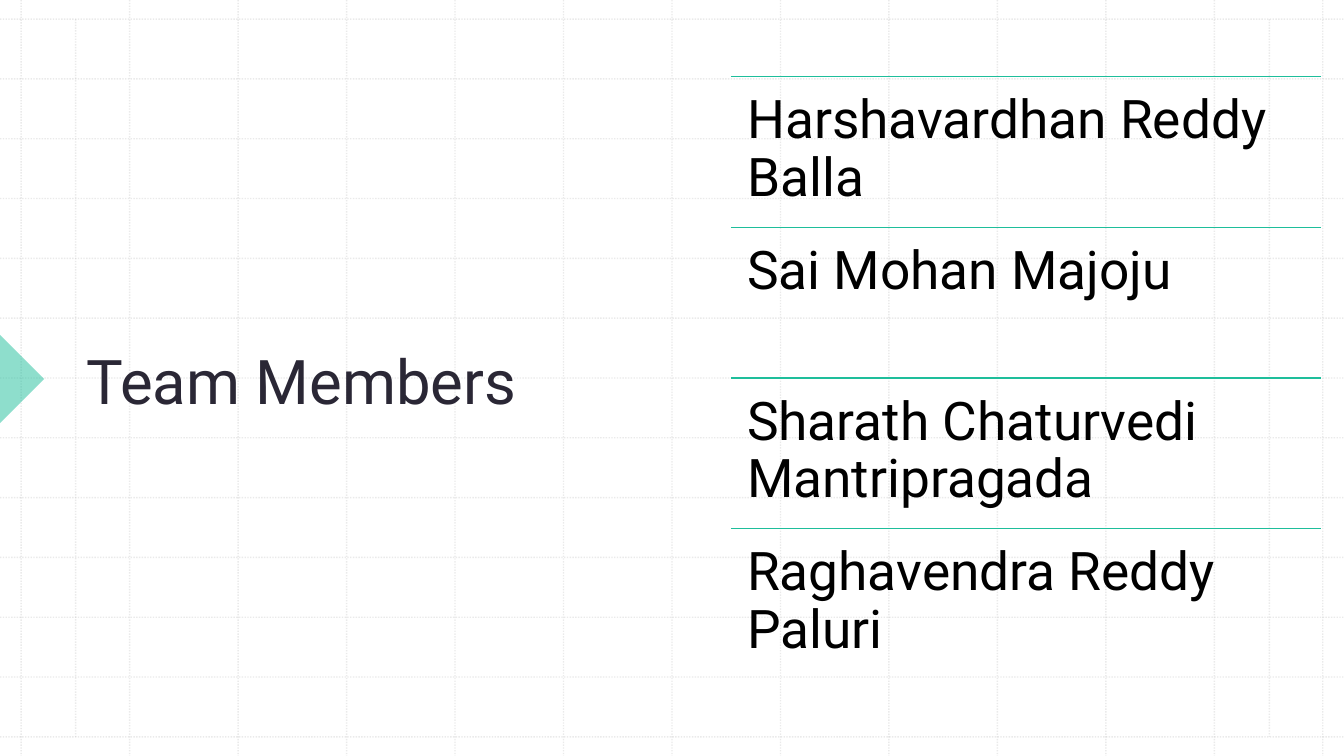
from lxml import etree
from pptx import Presentation
from pptx import util as u
from pptx.dml.color import RGBColor
from pptx.enum import dml, shapes, text
from pptx.oxml.ns import qn

TITLE = "Team Members"
MEMBERS = [
    "Harshavardhan Reddy Balla",
    "Sai Mohan Majoju",
    "Sharath Chaturvedi Mantripragada",
    "Raghavendra Reddy Paluri",
]

FONT = "Roboto"
GRID = RGBColor(0xBC, 0xBC, 0xBC)
GREEN = RGBColor(0x1E, 0xBE, 0x9B)
DARK = RGBColor(0x2A, 0x27, 0x35)
BLACK = RGBColor(0, 0, 0)
WHITE = RGBColor(0xFF, 0xFF, 0xFF)

WIDTH, HEIGHT = 13.33, 7.5
GRID_LEFT, GRID_RIGHT = 0.21, 13.12
GRID_TOP, GRID_BOTTOM = 0.19, 7.31
GRID_STEPS = 12
INNER_COLUMNS = (0.75, 12.59)
LIST_LEFT, LIST_TOP, LIST_WIDTH, ROW_HEIGHT = 7.25, 0.76, 5.85, 1.495


def set_alpha(fill, percent):
    color = fill._xPr.find(qn("a:solidFill"))[0]
    etree.SubElement(color, qn("a:alpha")).set("val", str(percent * 1000))


def add_line(page, x1, y1, x2, y2, color, dash=None, alpha=None):
    line = page.shapes.add_connector(
        shapes.MSO_CONNECTOR.STRAIGHT, *map(u.Inches, (x1, y1, x2, y2)))
    line.line.color.rgb = color
    line.line.width = u.Pt(1)
    if dash is not None:
        line.line.dash_style = dash
    if alpha is not None:
        set_alpha(line.line.fill, alpha)
    etree.SubElement(line._element.spPr, qn("a:effectLst"))


def add_text(page, words, left, top, width, height, size, color,
             anchor=text.MSO_ANCHOR.TOP, inset=(0.1, 0.05), spacing=1.0):
    box = page.shapes.add_textbox(*map(u.Inches, (left, top, width, height)))
    frame = box.text_frame
    frame.word_wrap = True
    frame.vertical_anchor = anchor
    frame.margin_left = frame.margin_right = u.Inches(inset[0])
    frame.margin_top = frame.margin_bottom = u.Inches(inset[1])
    para = frame.paragraphs[0]
    para.line_spacing = spacing
    span = para.add_run()
    span.text = words
    span.font.name = FONT
    span.font.size = u.Pt(size)
    span.font.color.rgb = color


def add_grid(page):
    column_gap = (GRID_RIGHT - GRID_LEFT) / GRID_STEPS
    row_gap = (GRID_BOTTOM - GRID_TOP) / GRID_STEPS
    steps = range(GRID_STEPS + 1)
    lines = [(GRID_LEFT + i * column_gap, 0, GRID_LEFT + i * column_gap, HEIGHT) for i in steps]
    lines += [(0, GRID_TOP + i * row_gap, WIDTH, GRID_TOP + i * row_gap) for i in steps]
    lines += [(x, GRID_TOP, x, GRID_BOTTOM) for x in INNER_COLUMNS]
    for ends in lines:
        add_line(page, *ends, GRID, dash=dml.MSO_LINE.ROUND_DOT, alpha=30)


def add_marker(page):
    marker = page.shapes.add_shape(
        shapes.MSO_SHAPE.RIGHT_TRIANGLE, *map(u.Inches, (-0.31, 3.45, 0.62, 0.62)))
    marker.rotation = 225
    marker.shadow.inherit = False
    marker.fill.solid()
    marker.fill.fore_color.rgb = GREEN
    set_alpha(marker.fill, 50)
    marker.line.fill.background()


def main():
    deck = Presentation()
    deck.slide_width, deck.slide_height = u.Inches(WIDTH), u.Inches(HEIGHT)
    page = deck.slides.add_slide(deck.slide_layouts[6])
    page.background.fill.solid()
    page.background.fill.fore_color.rgb = WHITE

    add_grid(page)
    add_marker(page)
    add_text(page, TITLE, 0.76, 0.79, 5.92, 5.95, 44, DARK,
             anchor=text.MSO_ANCHOR.MIDDLE)
    for index, member in enumerate(MEMBERS):
        top = LIST_TOP + index * ROW_HEIGHT
        add_line(page, LIST_LEFT, top, LIST_LEFT + LIST_WIDTH, top, GREEN)
        add_text(page, member, LIST_LEFT, top, LIST_WIDTH, ROW_HEIGHT, 38, BLACK,
                 inset=(0.16, 0.16), spacing=0.9)
    deck.save("out.pptx")


if __name__ == "__main__":
    main()
